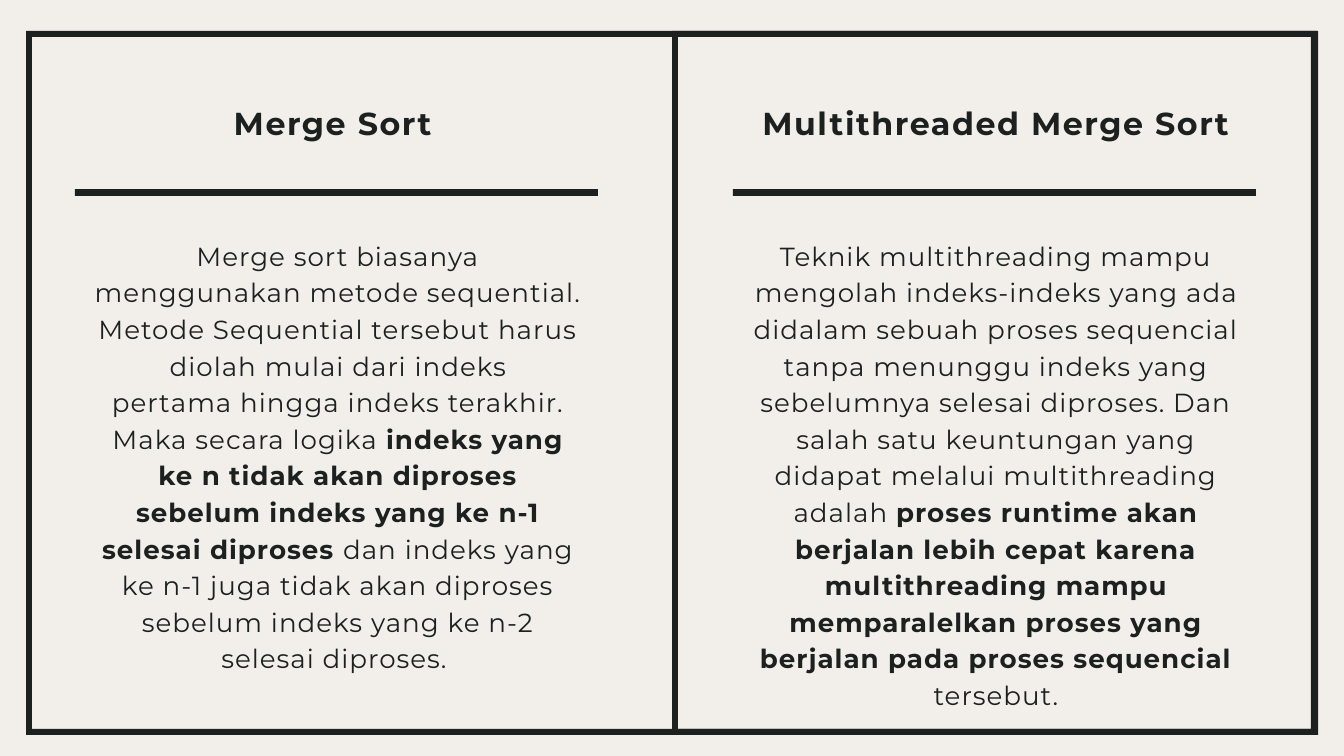
import pptx
import pptx.util
import pptx.dml.color
import pptx.enum.shapes
import pptx.enum.text

INK, PAPER, FONT = "1C2120", "F2EFEB", "Montserrat"
SCALE = 914400 / 67.2

# Content: each paragraph is a list of (text, bold) runs
COLUMNS = [
    ([[("Merge Sort ", True)]],
     [[("Merge sort biasanya menggunakan metode sequential. Metode Sequential "
        "tersebut harus diolah mulai dari indeks", False)],
      [("pertama hingga indeks terakhir. Maka secara logika ", False),
       ("indeks yang ke n tidak akan diproses sebelum indeks yang ke n-1 "
        "selesai diproses ", True),
       ("dan indeks yang ke n-1 juga tidak akan diproses sebelum indeks yang "
        "ke n-2 selesai diproses. ", False)]]),
    ([[("Multithreaded Merge Sort", True)]],
     [[("Teknik multithreading mampu mengolah indeks-indeks yang ada", False)],
      [("didalam sebuah proses sequencial tanpa menunggu indeks yang sebelumnya "
        "selesai diproses. Dan salah satu keuntungan yang didapat melalui "
        "multithreading adalah ", False),
       ("proses runtime akan berjalan lebih cepat karena multithreading mampu", True)],
      [("memparalelkan proses yang berjalan pada proses sequencial ", True),
       ("tersebut.", False)]]),
]

# Layout in pixels
FRAMES = [(26, 31, 1318, 735), (672, 31, 1317, 735)]
BORDER = 6
COLUMN_LEFT, COLUMN_STEP = 75, 658
RULE_W, RULE_H, TEXT_INSET = 523, 7, 18
LINE = 39.2


def px(n):
    return pptx.util.Emu(round(n * SCALE))


def color(value):
    return pptx.dml.color.RGBColor.from_string(value)


def paint(sp):
    sp.shadow.inherit = False
    sp.fill.solid()
    sp.fill.fore_color.rgb = color(INK)
    sp.line.fill.background()


def add_frame(x1, y1, x2, y2):
    b = BORDER
    fb = slide.shapes.build_freeform(x1, y1, scale=SCALE)
    fb.add_line_segments([(x1, y2), (x2, y2), (x2, y1)], close=True)
    # Inner outline runs the other way round to leave a hole
    fb.move_to(x2 - b, y2 - b)
    fb.add_line_segments([(x1 + b, y2 - b), (x1 + b, y1 + b), (x2 - b, y1 + b)][::1],
                         close=True)
    paint(fb.convert_to_shape())


def add_text(x, y, w, h, paragraphs, size, leading, spacing):
    tf = slide.shapes.add_textbox(px(x), px(y), px(w), px(h)).text_frame
    tf.word_wrap = True
    tf.margin_left = tf.margin_right = tf.margin_top = tf.margin_bottom = 0
    for i, runs in enumerate(paragraphs):
        p = tf.paragraphs[0] if i == 0 else tf.add_paragraph()
        p.alignment = pptx.enum.text.PP_ALIGN.CENTER
        p.line_spacing = pptx.util.Pt(leading)
        for text, bold in runs:
            r = p.add_run()
            r.text = text
            r.font.name, r.font.size, r.font.bold = FONT, pptx.util.Pt(size), bold
            r.font.color.rgb = color(INK)
            r.font._element.set("spc", str(round(spacing * 100)))


prs = pptx.Presentation()
prs.slide_width, prs.slide_height = px(1344), px(756)
slide = prs.slides.add_slide(prs.slide_layouts[6])
slide.background.fill.solid()
slide.background.fill.fore_color.rgb = color(PAPER)

# Outer frame and right-hand frame
for frame in FRAMES:
    add_frame(*frame)

# Columns: heading, body and rule
for i, (heading, body) in enumerate(COLUMNS):
    x = COLUMN_LEFT + i * COLUMN_STEP
    text_x, text_w = x + TEXT_INSET, 490
    add_text(text_x, 103, text_w, 39, heading, 34, 41.8, 1.7)
    add_text(text_x, 235, text_w, 368 + 74 * i, body, 28, LINE, 1.1)
    rule = slide.shapes.add_shape(pptx.enum.shapes.MSO_SHAPE.RECTANGLE,
                                  px(x), px(189), px(RULE_W), px(RULE_H))
    paint(rule)

prs.save("out.pptx")
